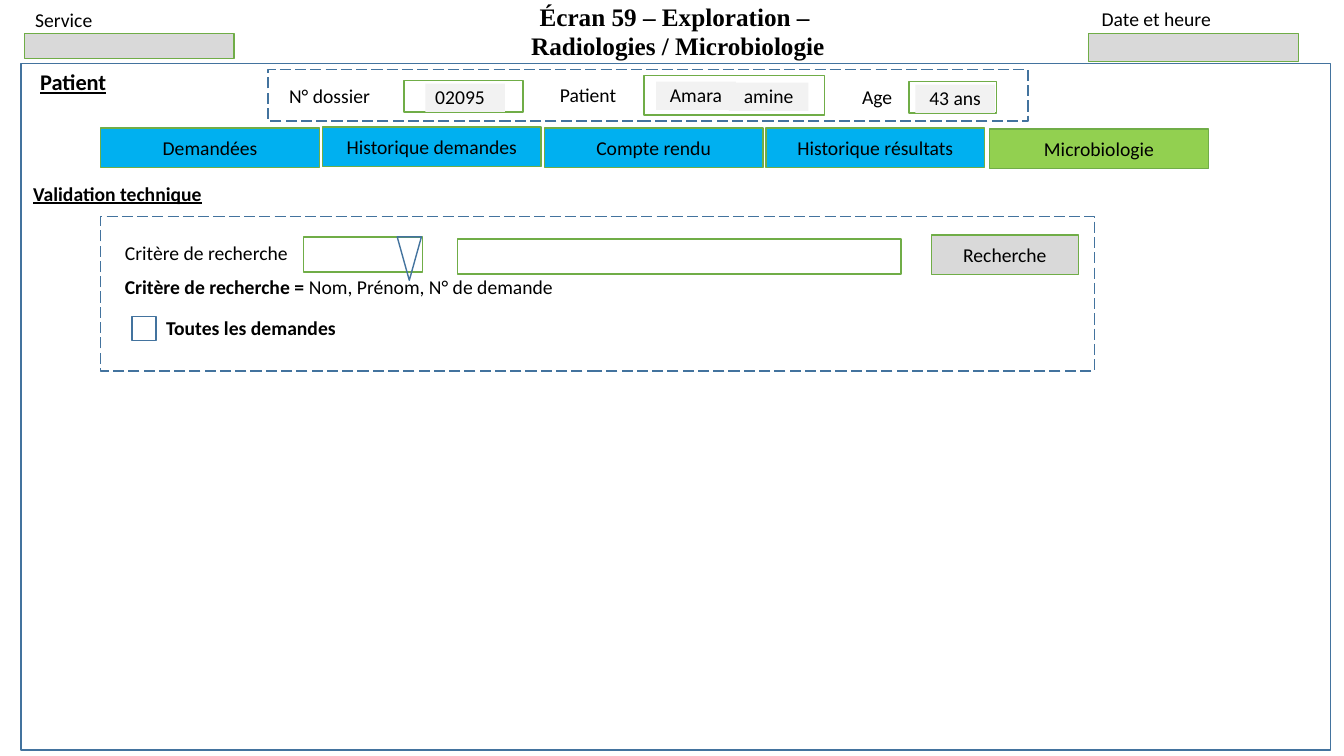
from pptx import Presentation
from pptx.dml.color import RGBColor
from pptx.enum.dml import MSO_LINE
from pptx.enum.shapes import MSO_SHAPE
from pptx.enum.text import MSO_ANCHOR, MSO_AUTO_SIZE, PP_ALIGN
from pptx.util import Pt

RECT, TRIANGLE = MSO_SHAPE.RECTANGLE, MSO_SHAPE.ISOSCELES_TRIANGLE
LEFT, CENTER = PP_ALIGN.LEFT, PP_ALIGN.CENTER
TOP, MIDDLE, BOTTOM = MSO_ANCHOR.TOP, MSO_ANCHOR.MIDDLE, MSO_ANCHOR.BOTTOM
LONG_DASH = MSO_LINE.LONG_DASH
NO_AUTOFIT = MSO_AUTO_SIZE.NONE

COLORS = {
    "text": "000000", "outline": "43739E", "field": "70AD47", "grey": "D9D9D9",
    "value": "F2F2F2", "tab": "00B0F0", "active": "92D050",
}


def color(name):
    return RGBColor.from_string(COLORS[name])


class Screen:
    font = "Calibri"
    size = 14

    def __init__(self, prs):
        self.s = prs.slides.add_slide(prs.slide_layouts[5])

    def set_text(self, sp, text, align=LEFT, anchor=MIDDLE, spacing=0.95,
                 size=size, font=font, bold=False, underline=False):
        tf = sp.text_frame
        tf.word_wrap = True
        tf.auto_size = NO_AUTOFIT
        tf.vertical_anchor = anchor
        tf.text = text
        for p in tf.paragraphs:
            p.alignment = align
            p.line_spacing = spacing
            p.space_before = Pt(0)
            for r in p.runs:
                r.font.name, r.font.size = font, Pt(size)
                r.font.bold, r.font.underline = bold, underline
                r.font.color.rgb = color("text")
        return tf

    def title(self, text, x, y, w, h):
        sp = self.s.shapes.title
        sp.left, sp.top, sp.width, sp.height = Pt(x), Pt(y), Pt(w), Pt(h)
        self.set_text(sp, text, CENTER, BOTTOM, size=18,
                      font="Times New Roman", bold=True)

    def label(self, text, x, y, w, h, **style):
        sp = self.s.shapes.add_textbox(Pt(x), Pt(y), Pt(w), Pt(h))
        return self.set_text(sp, text, **style)

    def box(self, x, y, w, h, line="field", fill=None, dash=None, kind=RECT):
        sp = self.s.shapes.add_shape(kind, Pt(x), Pt(y), Pt(w), Pt(h))
        sp.shadow.inherit = False
        if fill:
            sp.fill.solid()
            sp.fill.fore_color.rgb = color(fill)
        else:
            sp.fill.background()
        if line:
            sp.line.color.rgb = color(line)
            sp.line.width = Pt(1)
            if dash:
                sp.line.dash_style = dash
        else:
            sp.line.fill.background()
        return sp

    def button(self, text, x, y, w, fill):
        self.set_text(self.box(x, y, w, 28.1, fill=fill), text, CENTER, spacing=1)

    def value(self, text, x, y, align=CENTER):
        sp = self.box(x, y, 56.9, 20.2, line=None, fill="value")
        self.set_text(sp, text, align)


def main():
    prs = Presentation()
    prs.slide_width, prs.slide_height = Pt(960), Pt(540)
    screen = Screen(prs)

    # Header
    screen.title("Écran 59 – Exploration – \nRadiologies / Microbiologie",
                 248.4, 5, 471.6, 42.5)
    screen.box(15.1, 45.4, 935.3, 490.3, "outline")
    screen.box(17.3, 23.8, 149.8, 18, fill="grey")
    screen.box(777.6, 23.8, 149.8, 20.2, fill="grey")
    screen.label("Service", 18, 2.2, 100.8, 24.5, anchor=TOP, spacing=1)
    screen.label("Date et heure", 779.8, 1.4, 100.8, 24.5, anchor=TOP, spacing=1)

    # Patient identity
    screen.label("Patient", 21.6, 41.8, 85, 34.6, size=16, bold=True, underline=True)
    screen.box(191.5, 49.7, 542.9, 36.7, "outline", dash=LONG_DASH)
    for text, x, y, w in [("N° dossier", 195.1, 54, 80.6),
                          ("Patient ", 383.8, 53.3, 75.6),
                          ("Age ", 606.2, 54.7, 43.9)]:
        screen.label(text, x, y, w, 30.6, align=CENTER)
    for field in [(288.7, 57.6, 85, 22.3), (460.1, 54, 128.9, 28.1),
                  (649.4, 58.3, 62.6, 22.3)]:
        screen.box(*field)
    screen.value("02095", 303.8, 59.8, LEFT)
    screen.value("Amara", 468.7, 58.3)
    screen.value("amine", 520.6, 59)
    screen.value("43 ans", 653.8, 60.5)

    # Tabs
    tabs = [("Demandées", 91.4), ("Historique demandes", 90.7),
            ("Compte rendu", 91.4), ("Historique résultats", 91.4)]
    for i, (text, y) in enumerate(tabs):
        screen.button(text, 72 + 158.4 * i, y, 156.2, "tab")
    screen.button("Microbiologie", 707, 92.2, 156.2, "active")

    # Search panel
    screen.label("Validation technique", 16.6, 127.4, 151.2, 23,
                 bold=True, underline=True)
    screen.box(72, 154.8, 709.9, 110.2, "outline", dash=LONG_DASH)
    screen.label("Critère de recherche", 82.1, 167.8, 135.4, 27.4)
    screen.box(216.7, 169.2, 85, 25.2)
    arrow = screen.box(283.7, 169.2, 17.3, 31, "outline", kind=TRIANGLE)
    arrow.rotation = 180
    screen.box(326.9, 170.6, 316.8, 25.2)
    screen.button("Recherche", 665.3, 167.8, 105.1, "grey")

    tf = screen.label("Critère de recherche = ", 82.1, 191.5, 333.4, 27.4, bold=True)
    r = tf.paragraphs[0].add_run()
    r.text = "Nom, Prénom, N° de demande"
    r.font.name, r.font.size = screen.font, Pt(screen.size)
    r.font.color.rgb = color("text")

    screen.box(94.3, 226.1, 17.3, 17.3, "outline")
    screen.label("Toutes les demandes", 111.6, 221, 136.8, 28.1, bold=True)

    prs.save("out.pptx")


if __name__ == "__main__":
    main()
